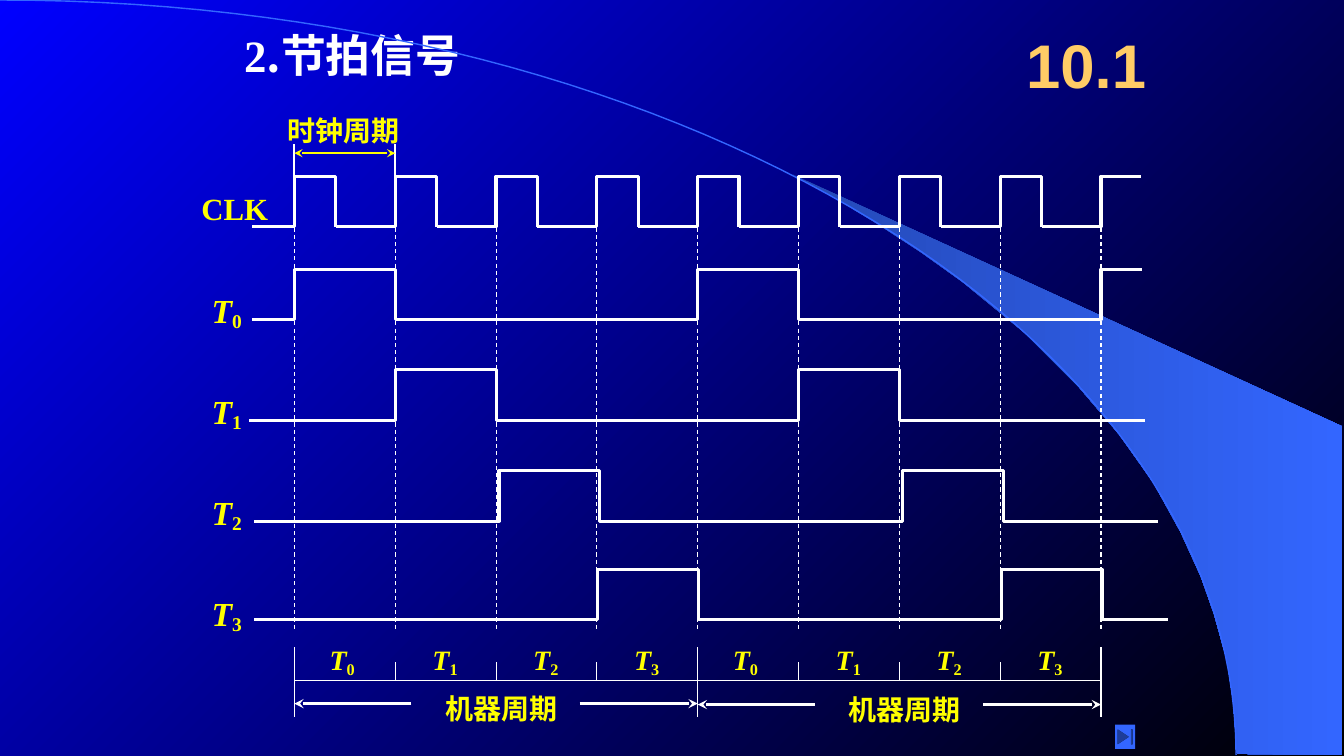
from dataclasses import dataclass

from lxml import etree
from pptx import Presentation
from pptx.dml.color import RGBColor
from pptx.enum import dml, shapes, text
from pptx.oxml import ns
from pptx.util import Inches, Pt

WHITE = RGBColor(0xFF, 0xFF, 0xFF)
YELLOW = RGBColor(0xFF, 0xFF, 0x00)
ORANGE = RGBColor(0xFF, 0xCC, 0x66)
BLUE = RGBColor(0x00, 0x00, 0xFF)
BLACK = RGBColor(0x00, 0x00, 0x00)
SKY = RGBColor(0x33, 0x66, 0xFF)
DEEP_SKY = RGBColor(0x24, 0x49, 0xB6)
SERIF, SANS, CJK = "Times New Roman", "Arial", "Noto Sans CJK SC"

FIRST_EDGE = 2.92  # left edge of the first clock cycle; each cycle is 1 inch
CYCLES = 8
BEATS = 4  # beats in one machine cycle
PULSE_HEIGHT = 0.5

Point = tuple[float, float]


@dataclass(frozen=True)
class Words:
    content: str
    size: float
    color: RGBColor = YELLOW
    font: str = SERIF
    italic: bool = False
    subscript: bool = False


@dataclass(frozen=True)
class Signal:
    start: float
    first_pulse: float
    end: float
    base: float


SIGNALS = [
    Signal(2.5, 2.92, 11.33, 3.17),
    Signal(2.47, 3.92, 11.36, 4.17),
    Signal(2.52, 4.95, 11.49, 5.17),
    Signal(2.52, 5.93, 11.58, 6.15),
]


def add_words(frame, runs: list[Words]) -> None:
    paragraph = frame.paragraphs[0]
    paragraph.alignment = text.PP_ALIGN.LEFT
    for words in runs:
        run = paragraph.add_run()
        run.text = words.content
        font = run.font
        font.size, font.name, font.bold = Pt(words.size), words.font, True
        font.italic = words.italic
        font.color.rgb = words.color
        properties = run._r.get_or_add_rPr()
        etree.SubElement(properties, ns.qn("a:ea"), typeface=CJK)
        if words.subscript:
            properties.set("baseline", "-15000")


def add_label(left: float, top: float, width: float, height: float, runs: list[Words]):
    box = slide.shapes.add_textbox(*map(Inches, (left, top, width, height)))
    box.text_frame.word_wrap = False
    box.text_frame.auto_size = text.MSO_AUTO_SIZE.SHAPE_TO_FIT_TEXT
    add_words(box.text_frame, runs)
    return box


def beat_name(beat: int, size: float) -> list[Words]:
    return [Words("T", size, italic=True), Words(str(beat), size, subscript=True)]


def add_line(start: Point, end: Point, weight: float, color: RGBColor = WHITE,
             dashed: bool = False, arrows: tuple[str, ...] = ()) -> None:
    line = slide.shapes.add_connector(
        shapes.MSO_CONNECTOR.STRAIGHT, *map(Inches, (*start, *end)))
    line.line.color.rgb = color
    line.line.width = Pt(weight)
    if dashed:
        line.line.dash_style = dml.MSO_LINE.DASH
    for arrow in arrows:
        etree.SubElement(line.get_or_add_ln(), ns.qn(f"a:{arrow}"), type="stealth")
    etree.SubElement(line._element.spPr, ns.qn("a:effectLst"))


def add_outline(points: list[Point], color: RGBColor, weight: float, closed: bool = False):
    corners = [(Inches(x), Inches(y)) for x, y in points]
    builder = slide.shapes.build_freeform(*corners[0])
    builder.add_line_segments(corners[1:], close=closed)
    outline = builder.convert_to_shape()
    outline.shadow.inherit = False
    outline.fill.background()
    outline.line.color.rgb = color
    outline.line.width = Pt(weight)
    return outline


def fade(fill, first: RGBColor, last: RGBColor, angle: float) -> None:
    fill.gradient()
    fill.gradient_angle = angle
    for stop, color, position in zip(fill.gradient_stops, (first, last), (0, 1)):
        stop.color.rgb = color
        stop.position = position


def add_wave(start: float, pulses: list[float], width: float, end: float, base: float) -> None:
    """Draw a square wave; a pulse that reaches past the end stays high."""
    high = base - PULSE_HEIGHT
    points = [(start, base)]
    for rise in pulses:
        points += [(rise, base), (rise, high)]
        if rise + width > end:
            points.append((end, high))
            break
        points += [(rise + width, high), (rise + width, base)]
    else:
        points.append((end, base))
    add_outline(points, WHITE, 2.25)


def curve_point(t: float) -> Point:
    """Point on the large background arc, a cubic curve."""
    controls = [(0, 0), (6.77, 0), (12.26, 3.35), (12.26, 7.49)]
    weights = [(1 - t) ** 3, 3 * t * (1 - t) ** 2, 3 * t * t * (1 - t), t ** 3]
    x, y = (sum(w * c[axis] for w, c in zip(weights, controls)) for axis in (0, 1))
    return x, y


prs = Presentation()
prs.slide_width, prs.slide_height = Inches(13.33), Inches(7.5)
slide = prs.slides.add_slide(prs.slide_layouts[5])

# Background: gradient, beam and arc
fade(slide.background.fill, BLUE, BLACK, 315)
beam = add_outline([
    (12.27, 7.48), (13.31, 7.49), (13.31, 4.23), (7.86, 1.73), (8.32, 1.99), (8.7, 2.22),
    (9.13, 2.5), (9.55, 2.8), (10.16, 3.3), (10.7, 3.84), (11.1, 4.31), (11.44, 4.79),
    (11.71, 5.28), (11.91, 5.72), (12.04, 6.09), (12.17, 6.56), (12.23, 6.96),
], SKY, 1, closed=True)
fade(beam.fill, DEEP_SKY, SKY, 0)
beam.line.fill.background()
add_outline([curve_point(step / 60) for step in range(61)], SKY, 1)

# Heading and section number
heading = slide.shapes.title
heading.left, heading.top, heading.width, heading.height = map(Inches, (2.32, 0.22, 3.93, 0.63))
heading.text_frame.vertical_anchor = text.MSO_ANCHOR.TOP
heading.text_frame.word_wrap = True
add_words(heading.text_frame, [Words("2", 32, WHITE), Words(".节拍信号", 32, WHITE, CJK)])
section = add_label(10.08, 0.17, 1.58, 0.92, [Words("10.1", 44, ORANGE, SANS)])
section.text_frame.auto_size = text.MSO_AUTO_SIZE.NONE
section.text_frame.word_wrap = True
section.text_frame.vertical_anchor = text.MSO_ANCHOR.MIDDLE

# Beat signals T0 to T3
for beat, signal in enumerate(SIGNALS):
    rises = [signal.first_pulse + BEATS * n for n in range(3)]
    add_wave(signal.start, [x for x in rises if x < signal.end], 1, signal.end, signal.base)
    add_label(2, 2.83 + beat, 0.52, 0.5, beat_name(beat, 24))

# Clock, cycle boundaries and scale ticks
add_label(1.9, 1.83, 0.86, 0.47, [Words("CLK", 22)])
edges = [FIRST_EDGE + n for n in range(CYCLES + 1)]
add_line((edges[0], 6.75), (edges[-1], 6.75), 0.75)
for cycle, edge in enumerate(edges):
    clock_end = edge + (0.41 if cycle < CYCLES else 0.4)
    add_wave(edge - (0.59 if cycle else 0.42), [edge], 0.41, clock_end, 2.25)
    add_line((edge, 1.97), (edge, 6.25), 0.75, dashed=True)
    tick_top, tick_bottom = (6.57, 6.75) if cycle % BEATS else (6.42, 7.11)
    add_line((edge, tick_top), (edge, tick_bottom), 0.75)

# Beat names under the diagram
for cycle in range(CYCLES):
    beat = cycle % BEATS
    add_label(cycle + (3.19 if beat else 3.17), 6.33, 0.47, 0.44, beat_name(beat, 20))

# Clock period
for edge in edges[:2]:
    add_line((edge, 1.43), (edge, 1.77), 1.5)
add_line((edges[0], 1.52), (edges[1], 1.52), 1.5, YELLOW, arrows=("headEnd", "tailEnd"))
add_label(2.75, 1.08, 1.33, 0.44, [Words("时钟周期", 20)])

# Machine cycles
for left, level in ((edges[0], 6.98), (edges[BEATS], 6.99)):
    right = left + BEATS
    add_line((right - 1.17, level), (right, level), 2.25, arrows=("tailEnd",))
    add_line((left + 1.16, level), (left, level), 2.25, arrows=("tailEnd",))
    add_label(left + 1.4, level - 0.17, 1.33, 0.44, [Words("机器周期", 20)])

# Navigation button
end_button = slide.shapes.add_shape(
    shapes.MSO_SHAPE.ACTION_BUTTON_END, *map(Inches, (11.06, 7.19, 0.2, 0.24)))
end_button.shadow.inherit = False
end_button.fill.solid()
end_button.fill.fore_color.rgb = SKY
end_button.line.fill.background()

prs.save("out.pptx")
